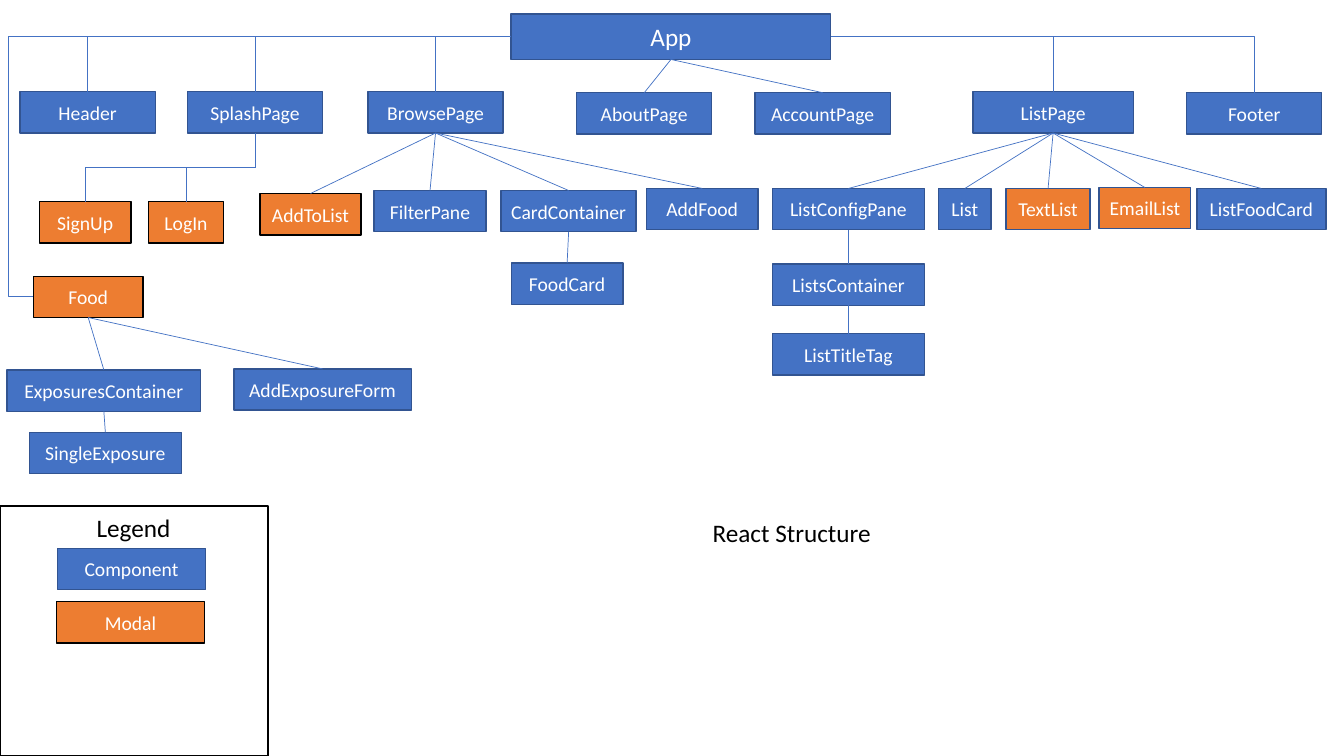
from dataclasses import dataclass

from lxml.etree import SubElement
from pptx import Presentation
from pptx.dml.color import RGBColor
from pptx.enum.shapes import MSO_CONNECTOR, MSO_SHAPE
from pptx.enum.text import MSO_ANCHOR, MSO_AUTO_SIZE, PP_ALIGN
from pptx.oxml.ns import qn
from pptx.util import Inches, Pt


@dataclass(frozen=True)
class Theme:
    """Colours, type sizes and line widths of the diagram."""
    blue: RGBColor = RGBColor(0x44, 0x72, 0xC4)
    edge: RGBColor = RGBColor(0x32, 0x54, 0x91)
    orange: RGBColor = RGBColor(0xED, 0x7D, 0x31)
    white: RGBColor = RGBColor(0xFF, 0xFF, 0xFF)
    black: RGBColor = RGBColor(0, 0, 0)
    font: str = "Calibri"
    large: Pt = Pt(18)
    small: Pt = Pt(14)
    outline: Pt = Pt(1)
    link: Pt = Pt(0.5)


T = Theme()
NODE_H = 0.41
TOP, LEFT, BOTTOM, RIGHT = range(4)
STYLES = {  # fill and outline of each kind of node
    "component": (T.blue, T.edge),
    "modal": (T.orange, T.black),
    "list modal": (T.orange, T.edge),
}


def style_text(tf, size, color):
    """Format every run of a text frame."""
    for p in tf.paragraphs:
        for r in p.runs:
            r.font.name, r.font.size = T.font, size
            r.font.color.rgb = color


def add_node(s, name, x, y, w, kind="component", h=NODE_H, size=T.small):
    """Add one labelled rectangle."""
    sp = s.shapes.add_shape(MSO_SHAPE.RECTANGLE, Inches(x), Inches(y), Inches(w), Inches(h))
    fill, edge = STYLES[kind]
    sp.shadow.inherit = False
    sp.fill.solid()
    sp.fill.fore_color.rgb = fill
    sp.line.color.rgb, sp.line.width = edge, T.outline
    tf = sp.text_frame
    tf.text = name
    tf.word_wrap = False
    tf.vertical_anchor = MSO_ANCHOR.MIDDLE
    tf.paragraphs[0].alignment = PP_ALIGN.CENTER
    style_text(tf, size, T.white)
    return sp


def add_label(s, text, x, y, w):
    """Add a large free-standing caption."""
    tf = s.shapes.add_textbox(Inches(x), Inches(y), Inches(w), Inches(0.4)).text_frame
    tf.text = text
    tf.word_wrap = False
    tf.auto_size = MSO_AUTO_SIZE.SHAPE_TO_FIT_TEXT
    style_text(tf, T.large, T.black)


def site(sp, side):
    """Return the midpoint of one side of a shape."""
    mid_x, mid_y = sp.left + sp.width // 2, sp.top + sp.height // 2
    return {TOP: (mid_x, sp.top), LEFT: (sp.left, mid_y),
            BOTTOM: (mid_x, sp.top + sp.height), RIGHT: (sp.left + sp.width, mid_y)}[side]


def add_line(s, kind, start, end):
    """Add a thin blue connector without a shadow."""
    c = s.shapes.add_connector(kind, *start, *end)
    c.line.color.rgb, c.line.width = T.blue, T.link
    SubElement(c._element.spPr, qn("a:effectLst"))
    return c


def link(s, parent, *children):
    """Join a parent's bottom to the top of each child."""
    for child in children:
        c = add_line(s, MSO_CONNECTOR.STRAIGHT, site(parent, BOTTOM), site(child, TOP))
        c.begin_connect(parent, BOTTOM)
        c.end_connect(child, TOP)


def link_corner(s, parent, side, *children):
    """Run from a parent's side across, then down to each child."""
    for child in children:
        c = add_line(s, MSO_CONNECTOR.ELBOW, site(parent, side), site(child, TOP))
        c._element.spPr.find(qn("a:prstGeom")).set("prst", "bentConnector2")


def link_step(s, parent, *children):
    """Run down, across and down again: an elbow turned a quarter."""
    for child in children:
        (x1, y1), (x2, y2) = site(parent, BOTTOM), site(child, TOP)
        mid_x, mid_y = (x1 + x2) // 2, (y1 + y2) // 2
        half_w, half_h = (y2 - y1) // 2, (x1 - x2) // 2
        c = add_line(s, MSO_CONNECTOR.ELBOW, (mid_x - half_w, mid_y - half_h),
                     (mid_x + half_w, mid_y + half_h))
        c._element.spPr.find(qn("a:xfrm")).set("rot", str(90 * 60000))


def link_around(s, parent, child, reach):
    """Run from the parent's left, past the child, and back into its left side."""
    c = add_line(s, MSO_CONNECTOR.ELBOW, site(parent, LEFT), site(child, LEFT))
    geom = c._element.spPr.find(qn("a:prstGeom"))
    SubElement(geom.find(qn("a:avLst")), qn("a:gd"), name="adj1", fmla=f"val {round(reach * 100000)}")


def add_nodes(s, x, y, nodes):
    """Add (name, dx, dy, width, kind) nodes from a corner; return them by order."""
    return [add_node(s, name, x + dx, y + dy, w, *kind) for name, dx, dy, w, *kind in nodes]


def pages(s, x, y):
    """App and the row of pages below it."""
    app = add_node(s, "App", x + 4.87, y, 3.17, h=0.45, size=T.large)
    header, splash, browse, about, account, lists, footer = add_nodes(s, x, y + 0.77, [
        ("Header", 0, 0, 1.34), ("SplashPage", 1.66, 0, 1.34),
        ("BrowsePage", 3.45, 0, 1.34), ("AboutPage", 5.52, 0.01, 1.34),
        ("AccountPage", 7.29, 0.01, 1.34), ("ListPage", 9.45, 0, 1.59),
        ("Footer", 11.57, 0.01, 1.34)])
    link_corner(s, app, LEFT, header, splash, browse)
    link_corner(s, app, RIGHT, lists, footer)
    link(s, app, about, account)
    return app, splash, browse, lists


def splash_branch(s, x, y, splash):
    """Modals opened from the splash page."""
    link_step(s, splash, *add_nodes(s, x, y, [
        ("SignUp", 0, 0, 0.91, "modal"), ("LogIn", 1.08, 0, 0.75, "modal")]))


def browse_branch(s, x, y, browse):
    """Parts of the browse page."""
    children = add_nodes(s, x, y, [
        ("AddToList", 0, 0.05, 1, "modal"), ("FilterPane", 1.13, 0.02, 1.11),
        ("CardContainer", 2.39, 0.02, 1.34), ("AddFood", 3.83, 0, 1.11)])
    link(s, browse, *children)
    link(s, children[2], add_node(s, "FoodCard", x + 2.49, y + 0.74, 1.11))


def list_branch(s, x, y, lists):
    """Parts of the list page."""
    children = add_nodes(s, x, y, [
        ("ListConfigPane", 0, 0.01, 1.51), ("List", 1.65, 0.01, 0.52),
        ("TextList", 2.32, 0.01, 0.83, "list modal"),
        ("EmailList", 3.24, 0, 0.91, "list modal"), ("ListFoodCard", 4.21, 0.01, 1.28)])
    link(s, lists, *children)
    container, tag = add_nodes(s, x, y, [
        ("ListsContainer", 0, 0.76, 1.51), ("ListTitleTag", 0, 1.45, 1.51)])
    link(s, children[0], container)
    link(s, container, tag)


def food_branch(s, x, y, app):
    """The food modal and its exposure parts."""
    food, container, form, single = add_nodes(s, x, y, [
        ("Food", 0.26, 0, 1.09, "modal"), ("ExposuresContainer", 0, 0.93, 1.92),
        ("AddExposureForm", 2.25, 0.92, 1.76), ("SingleExposure", 0.22, 1.55, 1.51)])
    link_around(s, app, food, 1.053)
    link(s, food, container, form)
    link(s, container, single)


def legend(s, x, y, w, h):
    """Framed key to the two kinds of node."""
    frame = s.shapes.add_shape(MSO_SHAPE.RECTANGLE, Inches(x), Inches(y), Inches(w), Inches(h))
    frame.shadow.inherit = False
    frame.fill.background()
    frame.line.color.rgb, frame.line.width = T.black, T.outline
    add_label(s, "Legend", x + 0.86, y + 0.01, 0.94)
    add_nodes(s, x, y, [("Component", 0.57, 0.42, 1.47), ("Modal", 0.56, 0.95, 1.47, "modal")])


def main():
    """Build and save the component tree."""
    prs = Presentation()
    prs.slide_width, prs.slide_height = Inches(13.33), Inches(7.5)
    s = prs.slides.add_slide(prs.slide_layouts[6])
    app, splash, browse, lists = pages(s, 0.2, 0.14)
    splash_branch(s, 0.39, 2, splash)
    browse_branch(s, 2.58, 1.87, browse)
    list_branch(s, 7.66, 1.86, lists)
    food_branch(s, 0.07, 2.74, app)
    legend(s, 0, 5.02, 2.66, 2.48)
    add_label(s, "React Structure", 6.97, 5.08, 1.79)
    prs.save("out.pptx")


main()
